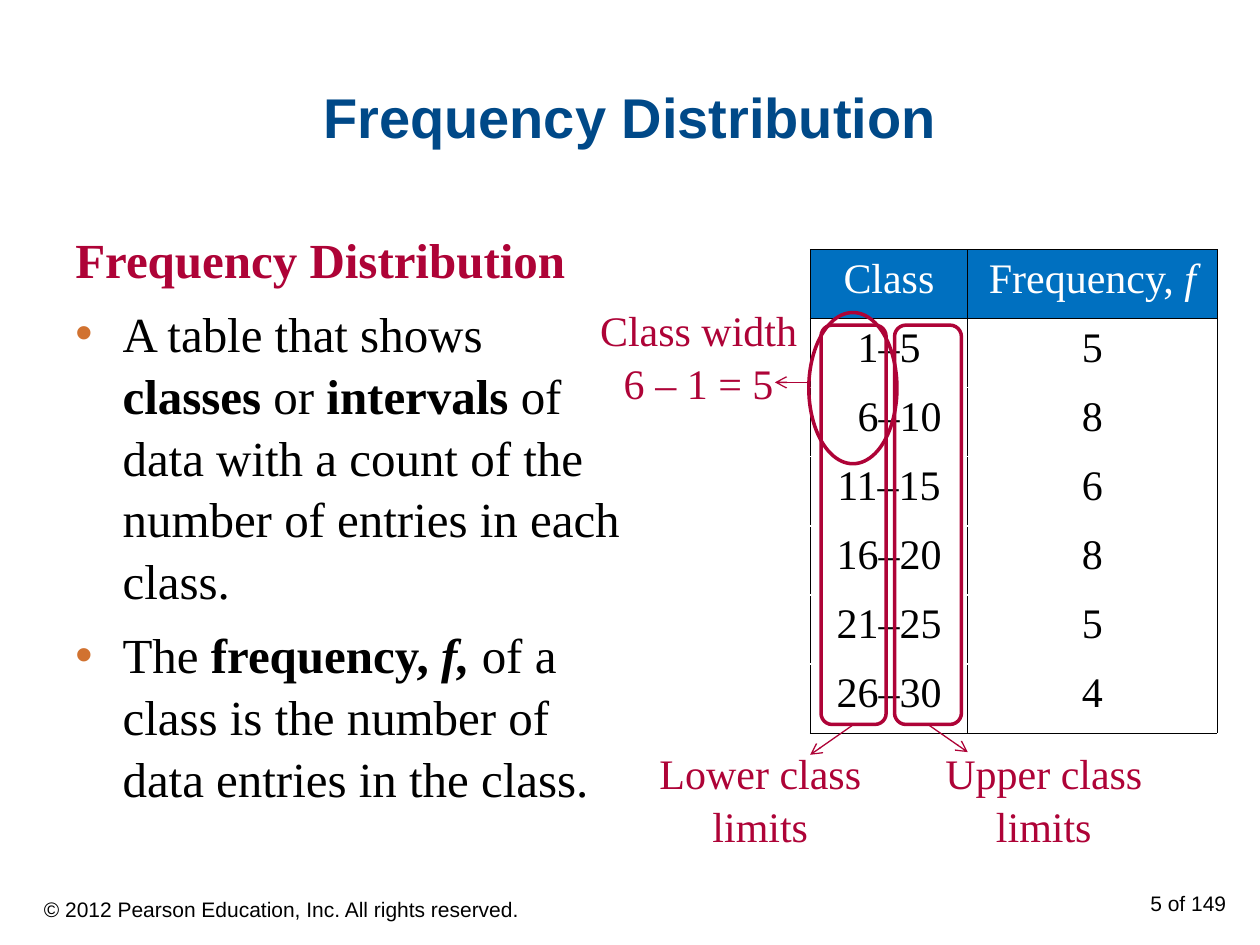
"""Build a slide explaining a frequency distribution and its class limits."""
import dataclasses

import lxml.etree
import pptx
import pptx.dml.color
import pptx.enum.shapes
import pptx.enum.text
import pptx.oxml
import pptx.oxml.ns
import pptx.util

Pt = pptx.util.Pt
qn = pptx.oxml.ns.qn
ALIGN = pptx.enum.text.PP_ALIGN
ANCHOR = pptx.enum.text.MSO_ANCHOR
SHAPE = pptx.enum.shapes.MSO_SHAPE


@dataclasses.dataclass(frozen=True)
class Theme:
    sans: str = "Arial"
    serif: str = "Times New Roman"
    title: str = "004988"
    accent: str = "AE0337"
    bullet: str = "D17230"
    header: str = "0070C0"
    black: str = "000000"
    white: str = "FFFFFF"
    title_size: int = 32
    body_size: int = 28
    label_size: int = 24
    footer_size: int = 12


class SlideBuilder:
    def __init__(self, slide, theme):
        self.slide = slide
        self.theme = theme

    def rgb(self, color):
        return pptx.dml.color.RGBColor.from_string(color)

    def style(self, paragraph, size, color, face, align=ALIGN.LEFT):
        paragraph.alignment = align
        for run in paragraph.runs:
            run.font.size = Pt(size)
            run.font.name = face
            run.font.color.rgb = self.rgb(color)

    def add_runs(self, paragraph, parts):
        for wording, marks in parts:
            run = paragraph.add_run()
            run.text = wording
            run.font.bold = "b" in marks
            run.font.italic = "i" in marks

    def frame(self, left, top, width, height, anchor=ANCHOR.TOP):
        box = self.slide.shapes.add_textbox(Pt(left), Pt(top), Pt(width), Pt(height))
        box.text_frame.word_wrap = True
        box.text_frame.vertical_anchor = anchor
        return box.text_frame

    def text(self, wording, place, size, color, face, align, anchor=ANCHOR.TOP, bold=False):
        frame = self.frame(*place, anchor)
        frame.text = wording
        for paragraph in frame.paragraphs:
            self.style(paragraph, size, color, face, align)
            for run in paragraph.runs:
                run.font.bold = bold
        return frame

    def label(self, wording, place):
        frame = self.text(wording, place, self.theme.label_size, self.theme.accent,
                          self.theme.serif, ALIGN.CENTER)
        for paragraph in frame.paragraphs:
            paragraph.line_spacing = 1.05

    def body(self, heading, points, place):
        frame = self.frame(*place)
        self.add_runs(frame.paragraphs[0], [(heading, "b")])
        self.style(frame.paragraphs[0], self.theme.body_size, self.theme.accent, self.theme.serif)
        frame.paragraphs[0].line_spacing = 1.05
        for parts in points:
            paragraph = frame.add_paragraph()
            paragraph.space_before = Pt(7)
            paragraph.line_spacing = 1.05
            self.bullet(paragraph)
            self.add_runs(paragraph, parts)
            self.style(paragraph, self.theme.body_size, self.theme.black, self.theme.serif)

    def bullet(self, paragraph):
        properties = paragraph._p.get_or_add_pPr()
        properties.set("marL", str(Pt(27)))
        properties.set("indent", str(-Pt(27)))
        color = lxml.etree.SubElement(properties, qn("a:buClr"))
        lxml.etree.SubElement(color, qn("a:srgbClr"), val=self.theme.bullet)
        lxml.etree.SubElement(properties, qn("a:buFont"), typeface=self.theme.sans)
        lxml.etree.SubElement(properties, qn("a:buChar"), char="•")

    def borders(self, cell, sides):
        properties = cell._tc.get_or_add_tcPr()
        for index, side in enumerate(sides):
            line = lxml.etree.Element(qn(f"a:ln{side}"), w=str(Pt(0.45)))
            fill = lxml.etree.SubElement(line, qn("a:solidFill"))
            lxml.etree.SubElement(fill, qn("a:srgbClr"), val=self.theme.black)
            properties.insert(index, line)

    def table(self, rows, left, top, widths, row_height):
        graphic = self.slide.shapes.add_table(len(rows), len(widths), Pt(left), Pt(top),
                                              Pt(sum(widths)), Pt(row_height * len(rows)))
        table = graphic.table
        table.first_row = table.horz_banding = False
        for column, width in zip(table.columns, widths):
            column.width = Pt(width)
        for number, row in enumerate(rows):
            table.rows[number].height = Pt(row_height)
            header = number == 0
            sides = "LRTB" if header else "LRT" if number == 1 else "LR"
            if number == len(rows) - 1:
                sides = "LRB"
            for column, parts in enumerate(row):
                cell = table.cell(number, column)
                paragraph = cell.text_frame.paragraphs[0]
                self.add_runs(paragraph, parts)
                self.style(paragraph, self.theme.label_size,
                           self.theme.white if header else self.theme.black,
                           self.theme.serif, ALIGN.CENTER)
                if header:
                    cell.fill.solid()
                    cell.fill.fore_color.rgb = self.rgb(self.theme.header)
                else:
                    cell.fill.background()
                self.borders(cell, sides)
        return table

    def outline(self, kind, left, top, width, height):
        ring = self.slide.shapes.add_shape(kind, Pt(left), Pt(top), Pt(width), Pt(height))
        ring.shadow.inherit = False
        ring.fill.background()
        ring.line.color.rgb = self.rgb(self.theme.accent)
        ring.line.width = Pt(2)
        return ring

    def arrow(self, start, end, source=None):
        arrow = self.slide.shapes.add_connector(
            pptx.enum.shapes.MSO_CONNECTOR.STRAIGHT, *map(Pt, (*start, *end)))
        if source is not None:
            arrow.begin_connect(source, 2)
        arrow.line.color.rgb = self.rgb(self.theme.accent)
        arrow.line.width = Pt(0.75)
        lxml.etree.SubElement(arrow.line._get_or_add_ln(), qn("a:tailEnd"), type="arrow")
        lxml.etree.SubElement(arrow._element.spPr, qn("a:effectLst"))


def main():
    deck = pptx.Presentation()
    deck.slide_width, deck.slide_height = Pt(720), Pt(540)
    theme = Theme()
    builder = SlideBuilder(deck.slides.add_slide(deck.slide_layouts[6]), theme)

    builder.text("Frequency Distribution", (36, 21.6, 648, 90), theme.title_size, theme.title,
                 theme.sans, ALIGN.CENTER, ANCHOR.MIDDLE, bold=True)
    builder.body("Frequency Distribution", [
        [("A table that shows ", ""), ("classes", "b"), (" or ", ""), ("intervals", "b"),
         (" of data with a count of the number of entries in each class.", "")],
        [("The ", ""), ("frequency, ", "b"), ("f,", "bi"),
         (" of a class is the number of data entries in the class.", "")],
    ], (36, 126, 326.5, 356.4))

    frequencies = {"1–5": 5, "6–10": 8, "11–15": 6, "16–20": 8, "21–25": 5, "26–30": 4}
    header = [[("Class", "")], [("Frequency, ", ""), ("f", "i")]]
    rows = [[[(interval, "")], [(str(count), "")]] for interval, count in frequencies.items()]
    table = builder.table([header, *rows], 463, 142.5, (90, 142.5), 39.5)
    table.cell(2, 0).margin_left = Pt(19.2)

    limits = [("Lower class\nlimits", 356.4, 469.2, 37.2, (463, 431.3)),
              ("Upper class\nlimits", 518.4, 511.2, 38.2, (553, 429.8))]
    for wording, label_left, ring_left, ring_width, tip in limits:
        builder.label(wording, (label_left, 422, 156.2, 64.8))
        ring = builder.outline(SHAPE.ROUNDED_RECTANGLE, ring_left, 185.8, ring_width, 228.2)
        ring.adjustments[0] = 0.17
        builder.arrow((ring_left + ring_width / 2, 414), tip, ring)

    builder.label("Class width 6 – 1 = 5", (329, 169.2, 140.4, 64.8))
    builder.arrow((463, 218.5), (442.8, 218.5))
    builder.outline(SHAPE.OVAL, 462.2, 178.6, 50.4, 86.4)

    builder.text("5 of 149", (540, 505.4, 167.8, 28.8), theme.footer_size, theme.black,
                 theme.sans, ALIGN.RIGHT)
    builder.text("© 2012 Pearson Education, Inc. All rights reserved.", (18, 505.4, 342, 28.8),
                 theme.footer_size, theme.black, theme.sans, ALIGN.LEFT, ANCHOR.MIDDLE)
    deck.save("out.pptx")


if __name__ == "__main__":
    main()
